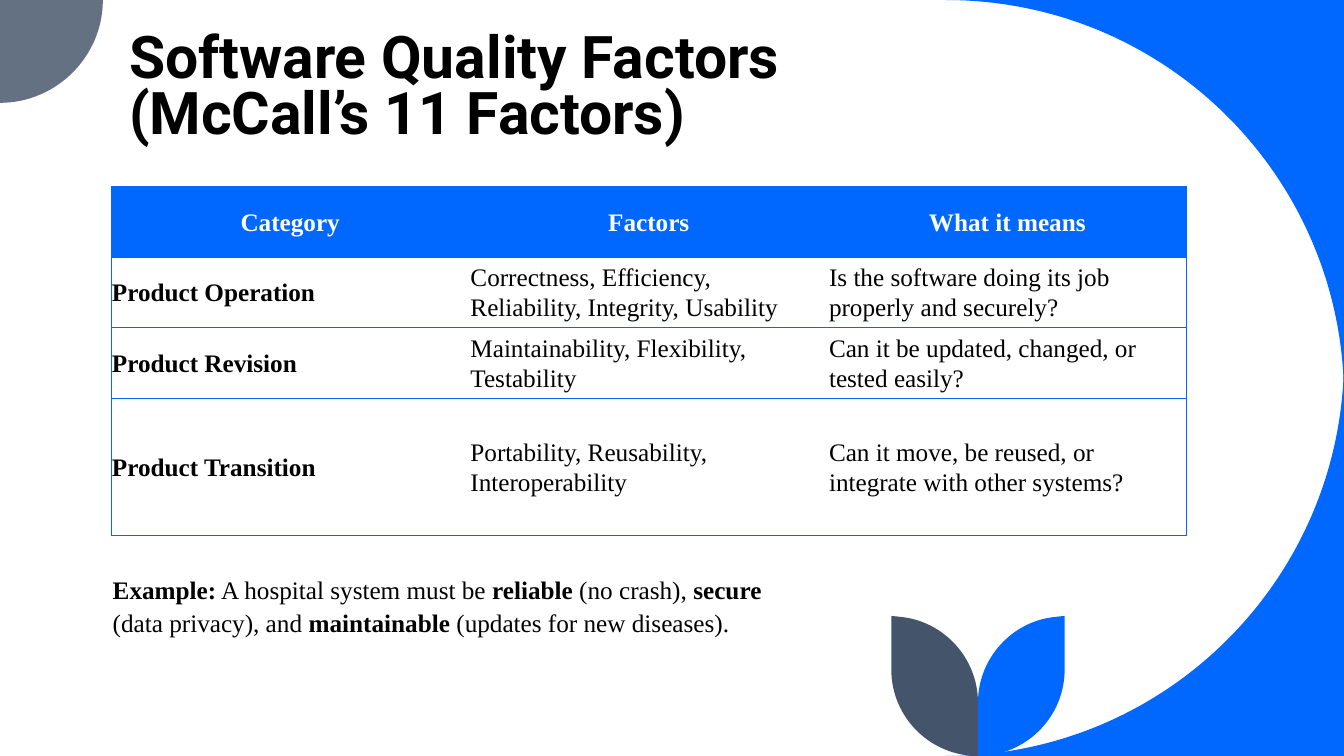
from dataclasses import dataclass

from lxml import etree
from pptx import Presentation
from pptx import util as u
from pptx.dml.color import RGBColor
from pptx.enum import text as t
from pptx.oxml import ns


@dataclass
class Theme:
    blue: str = "0068FF"
    gray: str = "637183"
    slate: str = "44546A"
    black: str = "000000"
    white: str = "FFFFFF"
    head: str = "Roboto"
    body: str = "Times New Roman"
    large: int = 42
    small: int = 18


def write(frame, words, font, size, color, align=t.PP_ALIGN.LEFT, space=1.07, after=0):
    para = frame.paragraphs[0]
    para.alignment = align
    para.line_spacing = space
    para.space_after = u.Pt(after)
    for i, part in enumerate(words.split("*")):
        for j, line in enumerate(part.split("\n")):
            if j:
                para.add_line_break()
            if line:
                run = para.add_run()
                run.text = line
                run.font.name = font
                run.font.size = u.Pt(size)
                run.font.bold = i % 2 == 1
                run.font.color.rgb = RGBColor.from_string(color)


def flip(steps, across=None, down=None):
    sums = (across, down)
    return [tuple(v if sums[i % 2] is None else round(sums[i % 2] - v, 2)
                  for i, v in enumerate(step)) for step in steps]


class Deck:
    def __init__(self, theme):
        self.theme = theme
        self.file = Presentation()
        self.file.slide_width = u.Inches(13.33)
        self.file.slide_height = u.Inches(7.5)
        self.page = self.file.slides.add_slide(self.file.slide_layouts[5])

    def place(self, shape, left, top, width, height):
        shape.left, shape.top = u.Inches(left), u.Inches(top)
        shape.width, shape.height = u.Inches(width), u.Inches(height)

    def title(self, words, *box):
        shape = self.page.shapes.title
        self.page.shapes._spTree.append(shape._element)
        self.place(shape, *box)
        frame = shape.text_frame
        frame.word_wrap = True
        frame.auto_size = t.MSO_AUTO_SIZE.NONE
        frame.vertical_anchor = t.MSO_ANCHOR.BOTTOM
        look = self.theme
        write(frame, words, look.head, look.large, look.black, space=0.8)

    def note(self, words, *box):
        shape = self.page.shapes.add_textbox(*map(u.Inches, box))
        shape.text_frame.word_wrap = True
        look = self.theme
        write(shape.text_frame, words, look.body, look.small, look.black, after=8)

    def curve(self, steps, color):
        dots = [(u.Inches(step[i]), u.Inches(step[i + 1]))
                for step in steps for i in range(0, len(step), 2)]
        pen = self.page.shapes.build_freeform(*dots[0])
        pen.add_line_segments(dots[1:], close=True)
        shape = pen.convert_to_shape()
        lines = iter(list(shape._element.iter(ns.qn("a:lnTo"))))
        for step in steps[1:]:
            line = next(lines)
            if len(step) == 6:
                line.addprevious(bend := etree.Element(ns.qn("a:cubicBezTo")))
                for part in (line, next(lines), next(lines)):
                    bend.append(part[0])
                    part.getparent().remove(part)
        shape.shadow.inherit = False
        shape.fill.solid()
        shape.fill.fore_color.rgb = RGBColor.from_string(color)
        shape.line.fill.background()

    def edge(self, cell, sides):
        props = cell._tc.get_or_add_tcPr()
        for side in "LRTB":
            line = etree.SubElement(props, ns.qn("a:ln" + side), w=str(u.Pt(0.5)))
            if side in sides:
                fill = etree.SubElement(line, ns.qn("a:solidFill"))
                etree.SubElement(fill, ns.qn("a:srgbClr"), val=self.theme.blue)
            else:
                etree.SubElement(line, ns.qn("a:noFill"))

    def table(self, rows, tall, *box):
        look = self.theme
        last = len(rows[0]) - 1
        shape = self.page.shapes.add_table(len(rows), last + 1, *map(u.Inches, box))
        grid = shape.table
        grid.horz_banding = False
        for row, high in zip(grid.rows, tall):
            row.height = u.Inches(high)
        for r, row in enumerate(rows):
            for c, words in enumerate(row):
                cell = grid.cell(r, c)
                cell.margin_left = cell.margin_right = u.Inches(0.01)
                cell.margin_top = cell.margin_bottom = u.Inches(0.01)
                cell.vertical_anchor = t.MSO_ANCHOR.MIDDLE
                self.edge(cell, "TB" + "L" * (c == 0) + "R" * (c == last))
                if r == 0:
                    cell.fill.solid()
                    cell.fill.fore_color.rgb = RGBColor.from_string(look.blue)
                else:
                    cell.fill.background()
                bold = r == 0 or c == 0
                write(cell.text_frame, f"*{words}*" if bold else words,
                      look.body, look.small, look.black if r else look.white,
                      align=t.PP_ALIGN.LEFT if r else t.PP_ALIGN.CENTER)


def main():
    look = Theme()
    deck = Deck(look)

    arc = [(13.33, 0), (9.38, 0), (11.57, 0, 13.33, 1.77, 13.33, 3.95), (13.33, 0)]
    deck.curve(arc, look.blue)
    deck.curve(flip(arc, down=7.5), look.blue)
    deck.curve([(0, 0), (1.02, 0), (1.02, 0.56, 0.56, 1.02, 0, 1.02), (0, 0)], look.gray)
    leaf = [(10.56, 6.11), (10.56, 6.64), (10.56, 7.12, 10.17, 7.5, 9.7, 7.5),
            (9.7, 6.97), (9.7, 6.53, 10.04, 6.16, 10.47, 6.12), (10.56, 6.11)]
    deck.curve(leaf, look.blue)
    deck.curve(flip(leaf, across=19.4), look.slate)

    deck.title("*Software Quality Factors \n(McCall’s 11 Factors)*", 1.18, 0.14, 10.5, 1.36)
    rows = [
        ("Category", "Factors", "What it means"),
        ("Product Operation", "Correctness, Efficiency, Reliability, Integrity, Usability",
         "Is the software doing its job properly and securely?"),
        ("Product Revision", "Maintainability, Flexibility, Testability",
         "Can it be updated, changed, or tested easily?"),
        ("Product Transition", "Portability, Reusability, Interoperability",
         "Can it move, be reused, or integrate with other systems?"),
    ]
    deck.table(rows, (0.7, 0.7, 0.7, 1.36), 1.1, 1.85, 10.67, 3.46)
    deck.note("*Example:* A hospital system must be *reliable* (no crash), *secure* "
              "(data privacy), and *maintainable* (updates for new diseases).",
              1.02, 5.63, 6.67, 0.75)
    deck.file.save("out.pptx")


if __name__ == "__main__":
    main()
